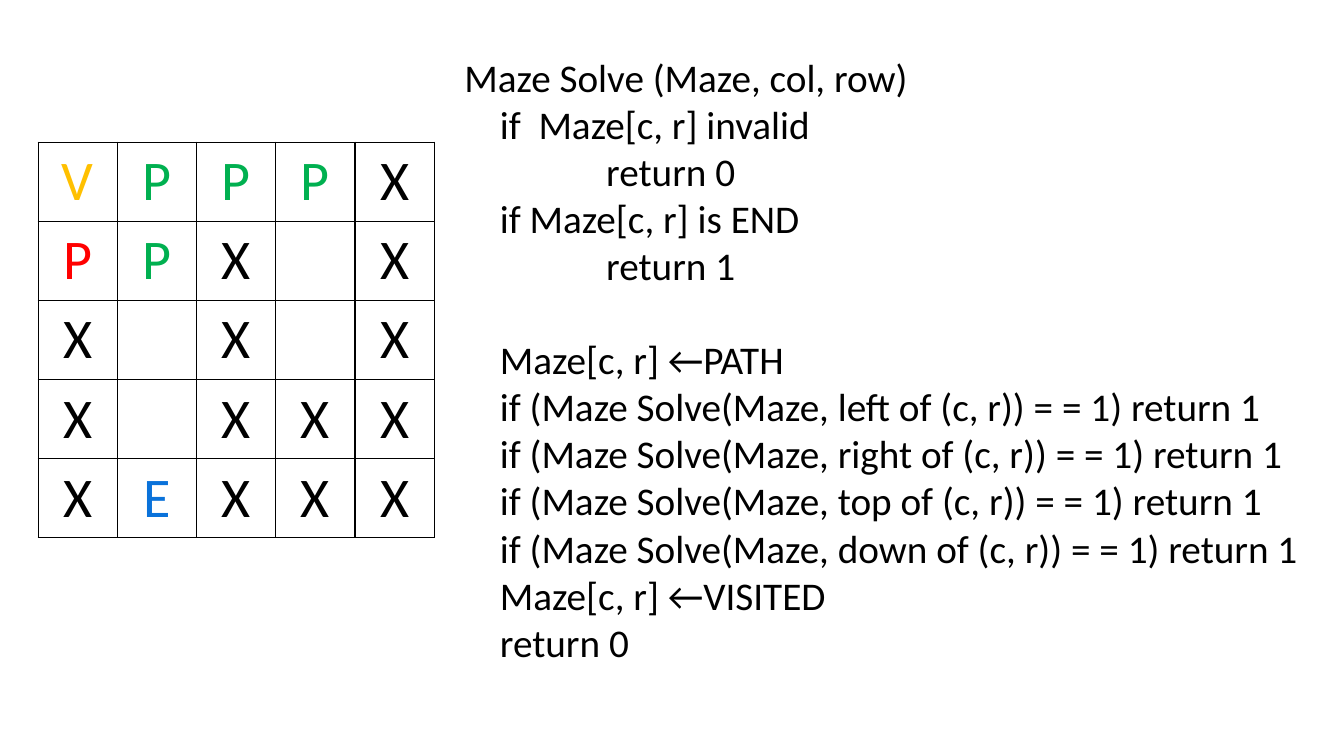
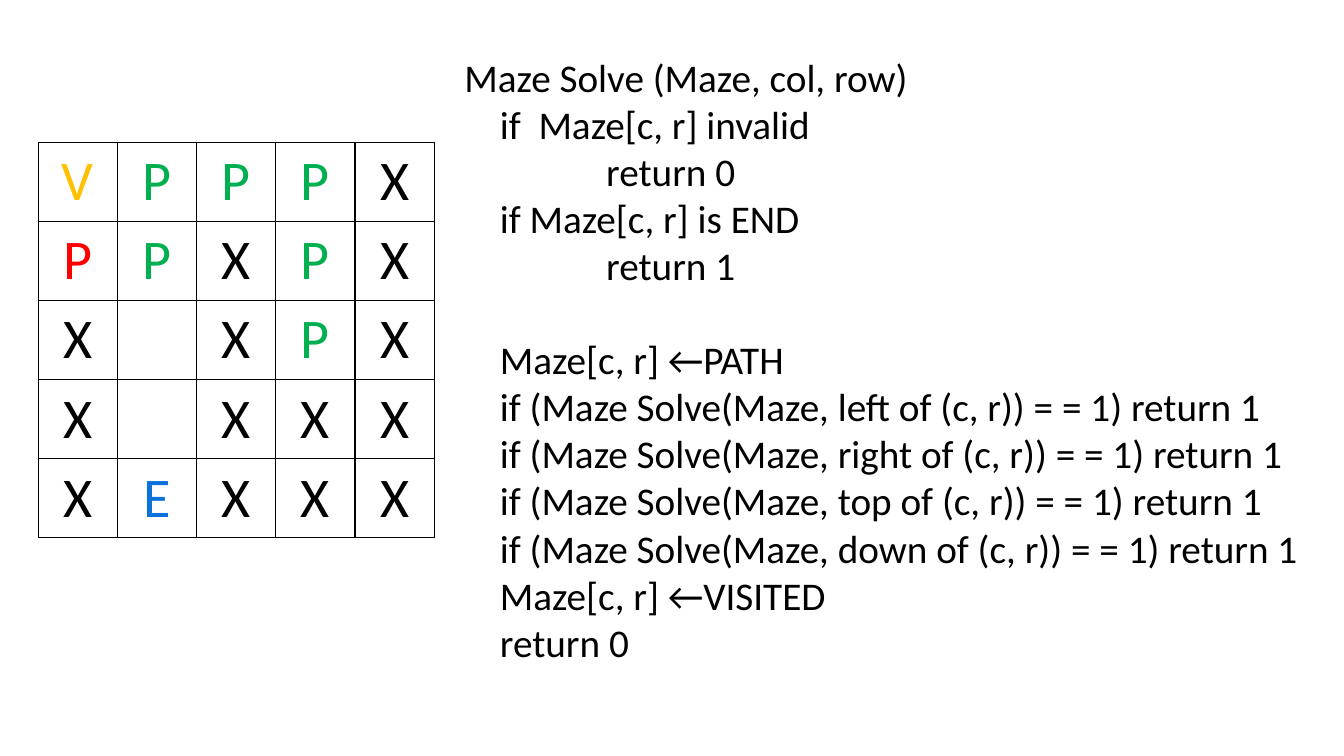
from dataclasses import dataclass

from lxml.etree import SubElement
from pptx import Presentation
from pptx.dml.color import RGBColor as Color
from pptx.enum.text import MSO_ANCHOR as Anchor, PP_ALIGN as Align
from pptx.oxml.ns import qn
from pptx.util import Pt


@dataclass(frozen=True)
class Theme:
    font: str = "Calibri"
    code_size: int = 28
    code_line: float = 33.6
    maze_size: int = 40
    border_width: float = 1
    black: str = "000000"
    visited: str = "FFC000"
    path_green: str = "00B050"
    start: str = "FF0000"
    end: str = "0A72DA"


THEME = Theme()

# Marker in the maze -> letter shown and its colour; "S" is the start of the path.
MARKERS = {
    "V": ("V", THEME.visited),
    "P": ("P", THEME.path_green),
    "S": ("P", THEME.start),
    "X": ("X", THEME.black),
    "E": ("E", THEME.end),
}

MAZE = (
    "VPPPX",
    "SPX X",
    "X X X",
    "X XXX",
    "XEXXX",
)
# Cells (row, column) newly marked as path on each slide.
STEPS = ((), ((1, 3), (2, 3)))

CODE = """\
Maze Solve (Maze, col, row)
    if  Maze[c, r] invalid
                return 0
    if Maze[c, r] is END
                return 1

    Maze[c, r] ←PATH
    if (Maze Solve(Maze, left of (c, r)) = = 1) return 1
    if (Maze Solve(Maze, right of (c, r)) = = 1) return 1
    if (Maze Solve(Maze, top of (c, r)) = = 1) return 1
    if (Maze Solve(Maze, down of (c, r)) = = 1) return 1
    Maze[c, r] ←VISITED
    return 0"""


def add_span(para, text, size, color):
    span = para.add_run()
    span.text = text
    span.font.name = THEME.font
    span.font.size = Pt(size)
    span.font.color.rgb = Color.from_string(color)


def add_borders(cell):
    properties = cell._tc.get_or_add_tcPr()
    for index, side in enumerate(("lnL", "lnR", "lnT", "lnB")):
        line = SubElement(properties, qn(f"a:{side}"), w=str(Pt(THEME.border_width)))
        fill = SubElement(line, qn("a:solidFill"))
        SubElement(fill, qn("a:srgbClr"), val=THEME.black)
        properties.insert(index, line)


def add_maze(page, maze, left, top, cell_width, cell_height):
    rows, columns = len(maze), len(maze[0])
    table = page.shapes.add_table(
        rows, columns, Pt(left), Pt(top),
        Pt(cell_width * columns), Pt(cell_height * rows),
    ).table
    table.first_row = table.horz_banding = False
    for column in table.columns:
        column.width = Pt(cell_width)
    for row, markers in zip(table.rows, maze):
        row.height = Pt(cell_height)
        for cell, marker in zip(row.cells, markers):
            cell.fill.background()
            add_borders(cell)
            cell.vertical_anchor = Anchor.MIDDLE
            if marker in MARKERS:
                letter, color = MARKERS[marker]
                para = cell.text_frame.paragraphs[0]
                para.alignment = Align.CENTER
                add_span(para, letter, THEME.maze_size, color)


def add_code(page, code, left, top, width, height):
    """Write one paragraph a line; an empty line becomes space before the next."""
    box = page.shapes.add_textbox(Pt(left), Pt(top), Pt(width), Pt(height))
    frame = box.text_frame
    frame.word_wrap = True
    para, gap = frame.paragraphs[0], 0
    for index, line in enumerate(code.splitlines()):
        if not line:
            gap += THEME.code_line
            continue
        if index:
            para = frame.add_paragraph()
        if gap:
            para.space_before = Pt(gap)
            gap = 0
        add_span(para, line, THEME.code_size, THEME.black)


def mark_path(maze, cells):
    return [
        "".join("P" if (r, c) in cells else marker for c, marker in enumerate(row))
        for r, row in enumerate(maze)
    ]


def main():
    deck = Presentation()
    deck.slide_width, deck.slide_height = Pt(960), Pt(540)
    blank_layout = deck.slide_layouts[6]
    for cells in STEPS:
        page = deck.slides.add_slide(blank_layout)
        add_maze(page, mark_path(MAZE, cells), 27.2, 101.5, 56.6, 56.5)
        add_code(page, CODE, 324.7, 34.5, 624.2, 448.6)
    deck.save("out.pptx")


if __name__ == "__main__":
    main()
